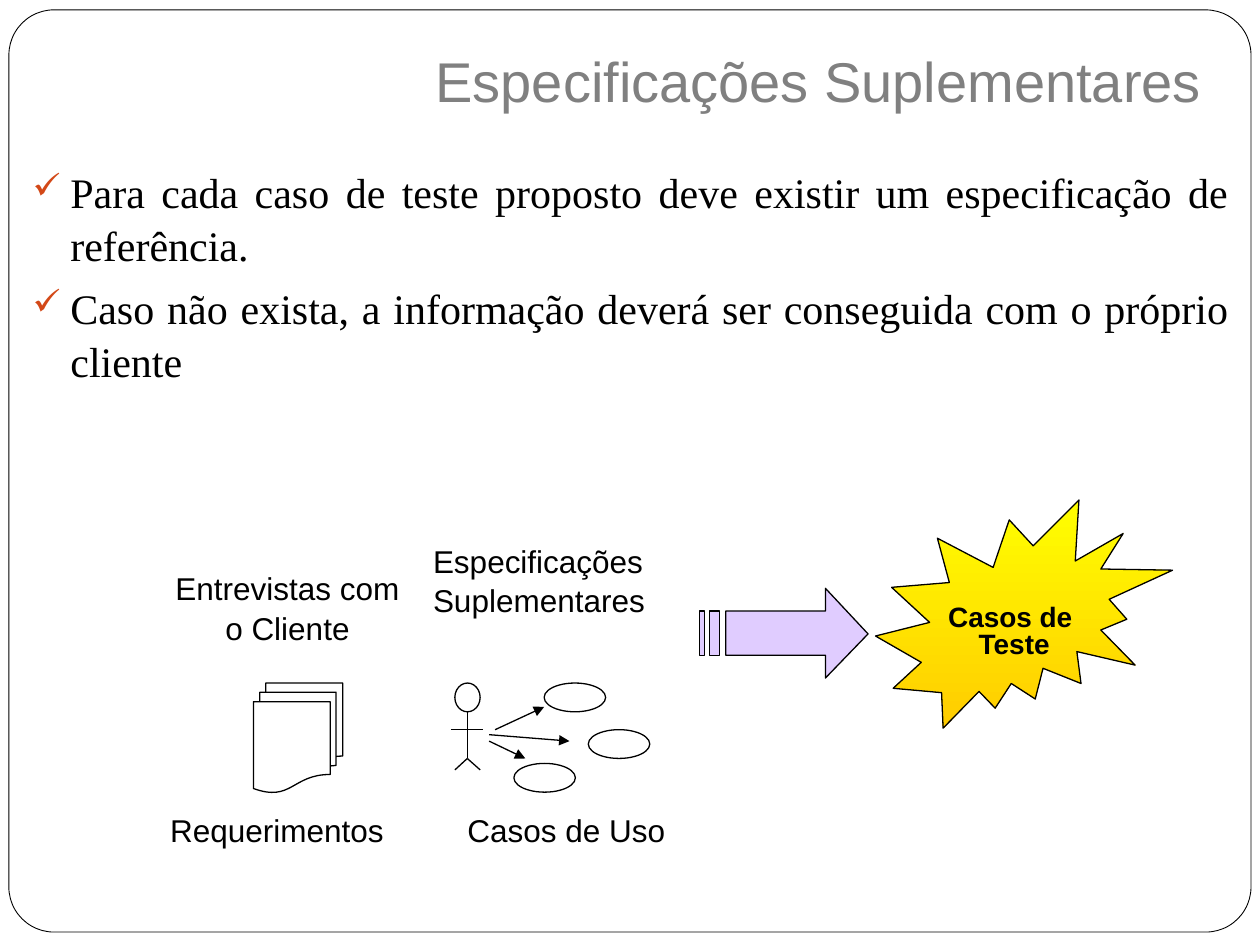
"""Build the slide on supplementary specifications as a source of test cases."""
from lxml import etree
from pptx import Presentation
from pptx import util as u
from pptx.dml import color as dml
from pptx.enum import shapes, text
from pptx.oxml import ns

Cm, Pt = u.Cm, u.Pt
COLORS = {"ink": "000000", "paper": "FFFFFF", "title": "808080", "check": "D34817",
          "yellow": "FFFF00", "gold": "FFCC00", "violet": "6600FF"}
RGB = {name: dml.RGBColor.from_string(value) for name, value in COLORS.items()}
LEFT, CENTER, JUSTIFY = text.PP_ALIGN.LEFT, text.PP_ALIGN.CENTER, text.PP_ALIGN.JUSTIFY

deck = Presentation()
deck.slide_width, deck.slide_height = Cm(25.4), Cm(19.05)
slide = deck.slides.add_slide(deck.slide_layouts[6])


def add_text(box, lines, size, align=LEFT, color="ink", font="Arial", bold=False,
             spacing=1.0, before=0, check=False):
    frame = slide.shapes.add_textbox(*map(Cm, box)).text_frame
    frame.word_wrap = True
    for index, line in enumerate(lines):
        paragraph = frame.paragraphs[0] if index == 0 else frame.add_paragraph()
        paragraph.text = line
        paragraph.alignment = align
        paragraph.line_spacing = spacing
        if index:
            paragraph.space_before = Pt(before)
        if check:
            props = paragraph._p.get_or_add_pPr()
            props.set("marL", str(Cm(0.76)))
            props.set("indent", str(Cm(-0.76)))
            tint = etree.SubElement(props, ns.qn("a:buClr"))
            etree.SubElement(tint, ns.qn("a:srgbClr"), val=COLORS["check"])
            etree.SubElement(props, ns.qn("a:buSzPct"), val="85000")
            etree.SubElement(props, ns.qn("a:buChar"), char="✓")
        paragraph.font.name, paragraph.font.size = font, Pt(size)
        paragraph.font.bold = bold
        paragraph.font.color.rgb = RGB[color]
    return frame


def add_outline(preset, box, width=0.75):
    outline = slide.shapes.add_shape(preset, *map(Cm, box))
    outline.shadow.inherit = False
    outline.fill.background()
    outline.line.color.rgb = RGB["ink"]
    outline.line.width = Pt(width)
    return outline


PRESET = shapes.MSO_SHAPE
border = add_outline(PRESET.ROUNDED_RECTANGLE, (0.18, 0.2, 25.04, 18.59), 0.5)
border.adjustments[0] = 0.049
border.fill.solid()
border.fill.fore_color.rgb = RGB["paper"]

title = add_text((8.53, 0.58, 16.87, 1.96), ["Especificações Suplementares"], 32, color="title")
title.vertical_anchor = text.MSO_ANCHOR.BOTTOM
title.margin_bottom = Cm(0.25)

add_text((0.41, 3.18, 24.61, 4.57),
         ["Para cada caso de teste proposto deve existir um especificação de referência.",
          "Caso não exista, a informação deverá ser conseguida com o próprio cliente"],
         24, JUSTIFY, font="Times New Roman", spacing=1.05, before=5.8, check=True)

add_outline(PRESET.OVAL, (9.17, 13.77, 0.51, 0.58))
for left, top in [(10.36, 15.39), (11.86, 14.71), (10.97, 13.77)]:
    add_outline(PRESET.OVAL, (left, top, 1.24, 0.58))

actor_limbs = [(9.42, 14.35, 9.42, 15.29), (9.09, 14.71, 9.73, 14.71),
               (9.42, 15.29, 9.17, 15.52), (9.42, 15.29, 9.68, 15.52)]
use_arrows = [(9.98, 14.71, 10.97, 14.25), (9.86, 14.81, 11.48, 14.94),
              (9.86, 14.94, 10.59, 15.29)]
for ends in actor_limbs + use_arrows:
    stroke = slide.shapes.add_connector(shapes.MSO_CONNECTOR.STRAIGHT, *map(Cm, ends))
    stroke.line.color.rgb = RGB["ink"]
    stroke.line.width = Pt(0.75)
    if ends in use_arrows:
        etree.SubElement(stroke.line._get_or_add_ln(), ns.qn("a:tailEnd"), type="triangle")
    etree.SubElement(stroke._element.spPr, ns.qn("a:effectLst"))

add_outline(PRESET.FLOWCHART_MULTIDOCUMENT, (5.11, 13.77, 1.8, 2.21))
add_text((3.18, 16.23, 4.93, 1.04), ["Requerimentos"], 18)
add_text((8.53, 16.23, 5.77, 1.04), ["Casos de Uso"], 18, CENTER)

burst = add_outline(PRESET.EXPLOSION2, (17.65, 10.08, 5.99, 4.6))
burst.fill.gradient()
burst.fill.gradient_angle = 270
for stop, position, shade in zip(burst.fill.gradient_stops, (0, 1), ("yellow", "gold")):
    stop.position = position
    stop.color.rgb = RGB[shade]

arrow_head = [(16.64, 11.86), (16.64, 12.32), (14.63, 12.32), (14.63, 13.21),
              (16.64, 13.21), (16.64, 13.67), (17.5, 12.78)]
stripes = [[(left, 12.32), (left, 13.21), (right, 13.21), (right, 12.32)]
           for left, right in [(14.3, 14.5), (14.1, 14.2)]]
contours = [[(Cm(x), Cm(y)) for x, y in points] for points in [arrow_head, *stripes]]
builder = slide.shapes.build_freeform(*contours[0][0])
for contour in contours:
    if contour is not contours[0]:
        builder.move_to(*contour[0])
    builder.add_line_segments(contour[1:], close=True)
striped_arrow = builder.convert_to_shape()
striped_arrow.shadow.inherit = False
striped_arrow.fill.solid()
striped_arrow.fill.fore_color.rgb = RGB["violet"]
violet = striped_arrow._element.spPr.find(".//" + ns.qn("a:srgbClr"))
etree.SubElement(violet, ns.qn("a:alpha"), val="20000")
striped_arrow.line.color.rgb = RGB["ink"]
striped_arrow.line.width = Pt(0.75)

add_text((18.64, 12.09, 3.61, 1.35), ["Casos de ", "Teste"], 16, CENTER, bold=True, spacing=0.8)
add_text((8.48, 10.8, 5.79, 1.78), ["Especificações", "Suplementares"], 18, before=1)
add_text((2.9, 11.35, 5.79, 1.78), ["Entrevistas com", "o Cliente"], 18, CENTER, before=1)

deck.save("out.pptx")
